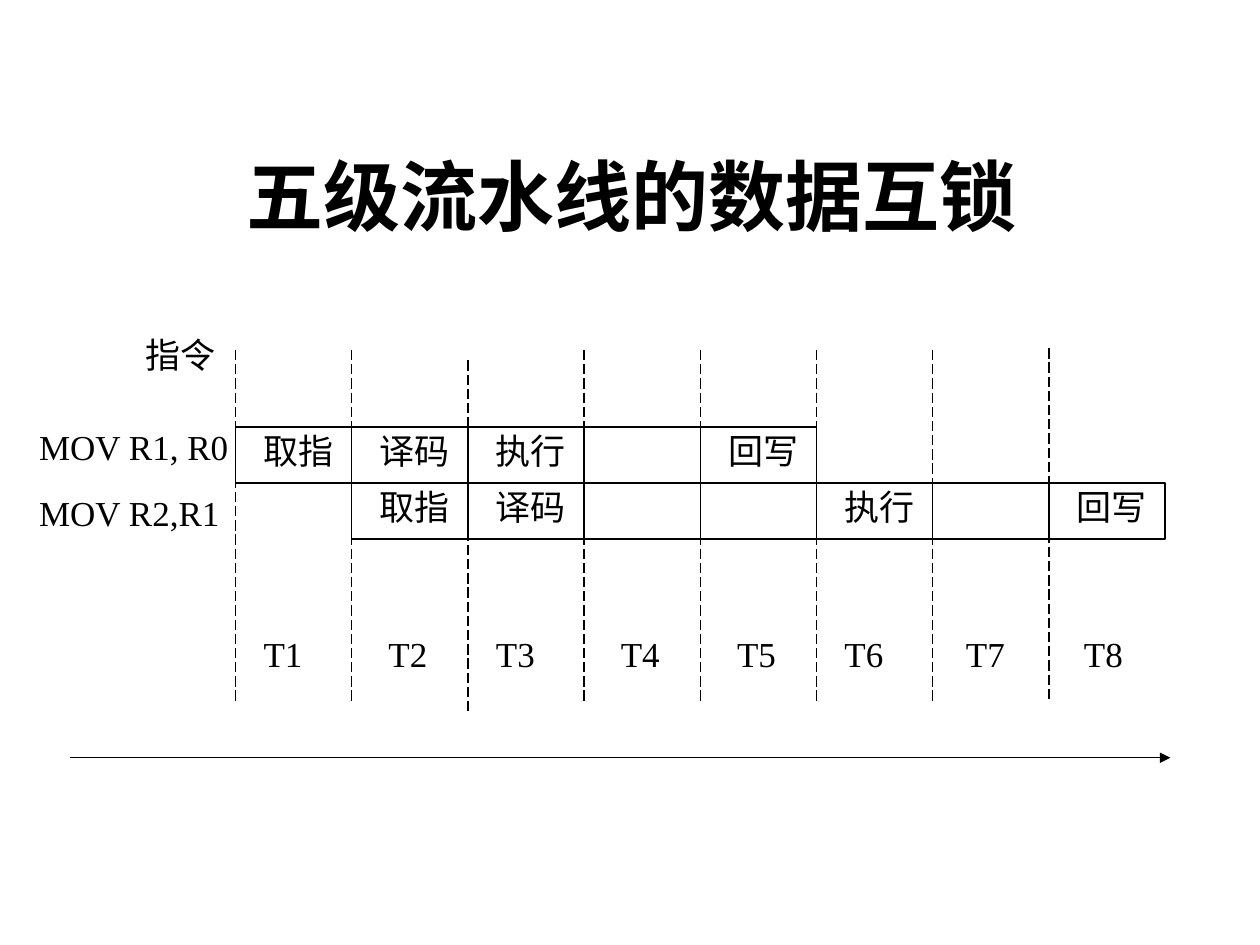
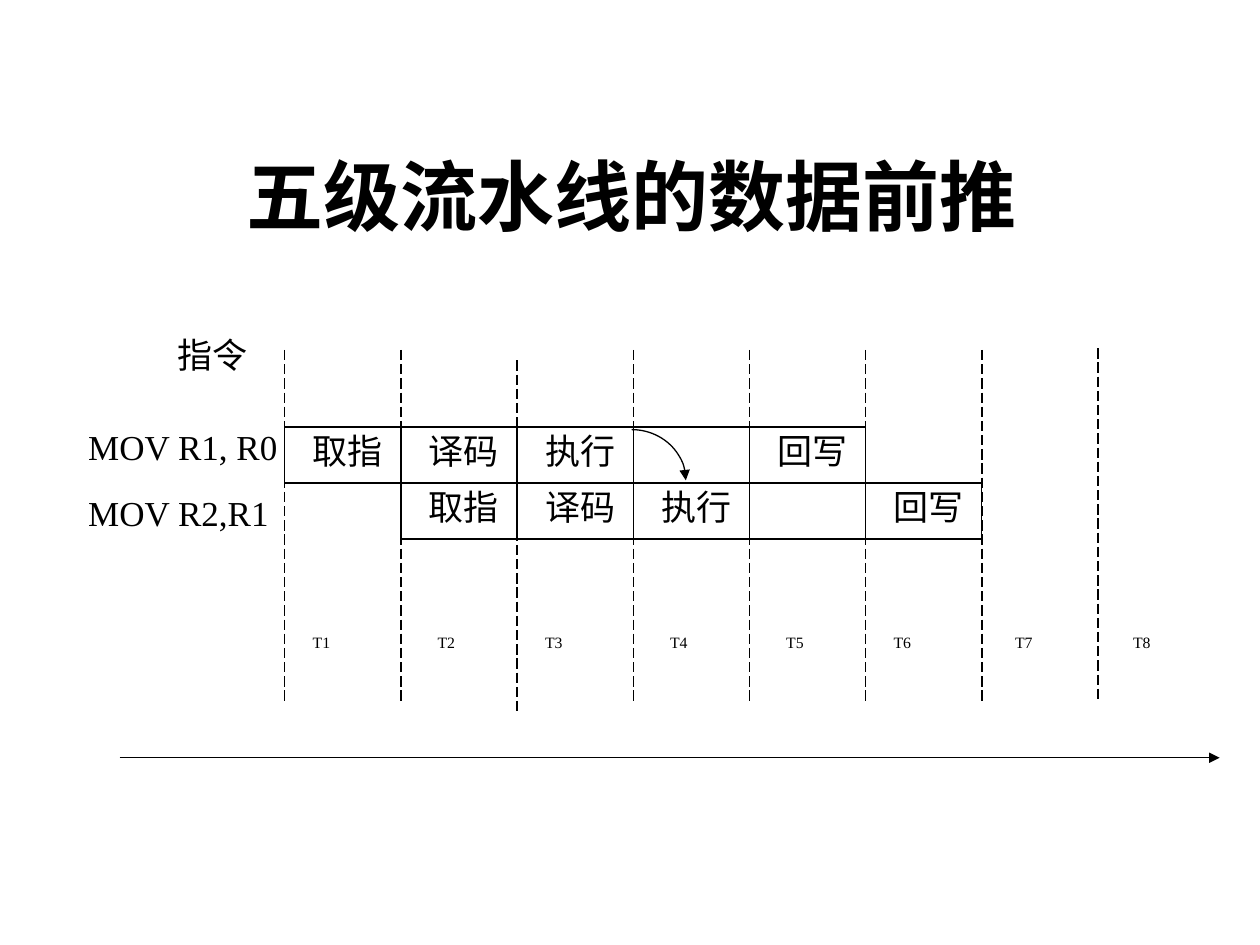
from lxml.etree import SubElement
from pptx import Presentation
from pptx.dml.color import RGBColor
from pptx.enum.dml import MSO_LINE
from pptx.enum.shapes import MSO_CONNECTOR, MSO_SHAPE
from pptx.enum.text import MSO_ANCHOR, PP_ALIGN
from pptx.oxml.ns import qn
from pptx.util import Pt

COLORS = {"ink": "000000", "paper": "FFFFFF"}
FONT = "Times New Roman"
BODY_SIZE = 20

# Timing grid, in points
CYCLE_WIDTH = 66.4
STAGE_HEIGHT = 32
FIRST_ROW_TOP = 244
GUIDE_LENGTH = 200.5
GUIDE_TOPS = (200, 200, 206, 200, 200, 200, 200, 199)
CYCLE_INDENTS = (16, 21, 16, 21, 21, 16, 19, 20)
INSTRUCTIONS = (("MOV R1, R0", 243), ("MOV R2,R1", 281))
FIRST_STAGES = ("取指", "译码", "执行", "", "回写")


def color(name):
    return RGBColor.from_string(COLORS[name])


def write(shape, text, size=BODY_SIZE, bold=False, align=PP_ALIGN.LEFT,
          anchor=MSO_ANCHOR.TOP, indent=0, drop=0):
    frame = shape.text_frame
    frame.word_wrap = True
    frame.vertical_anchor = anchor
    frame.margin_left, frame.margin_top = Pt(indent), Pt(drop)
    frame.margin_right = frame.margin_bottom = 0
    paragraph = frame.paragraphs[0]
    paragraph.text = text
    paragraph.alignment = align
    paragraph.font.name = FONT
    paragraph.font.size = Pt(size)
    paragraph.font.bold = bold
    paragraph.font.color.rgb = color("ink")


def add_label(page, text, left, top, width, height=31, **style):
    box = page.shapes.add_textbox(Pt(left), Pt(top), Pt(width), Pt(height))
    write(box, text, **style)


def style_line(line):
    line.color.rgb = color("ink")
    line.width = Pt(0.75)


def add_arrowhead(shape):
    SubElement(shape.line._get_or_add_ln(), qn("a:tailEnd"), type="triangle")


def add_line(page, start, end):
    points = [Pt(value) for value in (*start, *end)]
    connector = page.shapes.add_connector(MSO_CONNECTOR.STRAIGHT, *points)
    style_line(connector.line)
    SubElement(connector._element.spPr, qn("a:effectLst"))
    return connector


def add_outline(page, kind, left, top, width, height):
    shape = page.shapes.add_shape(kind, Pt(left), Pt(top), Pt(width), Pt(height))
    shape.shadow.inherit = False
    shape.fill.background()
    style_line(shape.line)
    return shape


def add_stages(page, origin, row, stages):
    """Each instruction starts one cycle after the one above it."""
    for cycle, stage in enumerate(stages, start=row):
        box = add_outline(page, MSO_SHAPE.RECTANGLE, origin + cycle * CYCLE_WIDTH,
                          FIRST_ROW_TOP + row * STAGE_HEIGHT, CYCLE_WIDTH, STAGE_HEIGHT)
        if stage:
            write(box, stage, indent=16, drop=1.5)


def add_forwarding_arrow(page, origin):
    """Quarter arc from the end of the first execute stage to the second one."""
    radius_x, radius_y = 31, 29
    center_x, center_y = origin + 3 * CYCLE_WIDTH - 1, FIRST_ROW_TOP + 30.5
    arc = add_outline(page, MSO_SHAPE.ARC, center_x - radius_x, center_y - radius_y,
                      2 * radius_x, 2 * radius_y)
    add_arrowhead(arc)


def add_pipeline_slide(deck, title, origin, header_left, second_stages, cycle_size):
    page = deck.slides.add_slide(deck.slide_layouts[6])
    page.background.fill.solid()
    page.background.fill.fore_color.rgb = color("paper")
    add_label(page, title, 37, 66, 648, 90, size=44, bold=True,
              align=PP_ALIGN.CENTER, anchor=MSO_ANCHOR.MIDDLE)

    # Instruction column
    add_label(page, "指令", header_left, 190.5, 43)
    for instruction, top in INSTRUCTIONS:
        add_label(page, instruction, origin - 112.3, top, 120)

    # Clock cycles
    for cycle, (top, indent) in enumerate(zip(GUIDE_TOPS, CYCLE_INDENTS)):
        left = origin + cycle * CYCLE_WIDTH
        guide = add_line(page, (left, top), (left, top + GUIDE_LENGTH))
        guide.line.dash_style = MSO_LINE.LONG_DASH
        add_label(page, f"T{cycle + 1}", left + indent, 361.5, 33, size=cycle_size)

    # Pipeline stages and time axis
    for row, stages in enumerate((FIRST_STAGES, second_stages)):
        add_stages(page, origin, row, stages)
    axis = add_line(page, (origin - 94.3, 433), (origin + 534.2, 433))
    add_arrowhead(axis)
    return page


def main():
    deck = Presentation()
    deck.slide_width, deck.slide_height = Pt(720), Pt(540)

    add_pipeline_slide(deck, "五级流水线的数据互锁", 134.6, 83,
                       ("取指", "译码", "", "", "执行", "", "回写"), BODY_SIZE)

    forwarding_origin = 162.7
    page = add_pipeline_slide(deck, "五级流水线的数据前推", forwarding_origin, 101.5,
                              ("取指", "译码", "执行", "", "回写"), 9)
    add_forwarding_arrow(page, forwarding_origin)

    deck.save("out.pptx")


if __name__ == "__main__":
    main()
